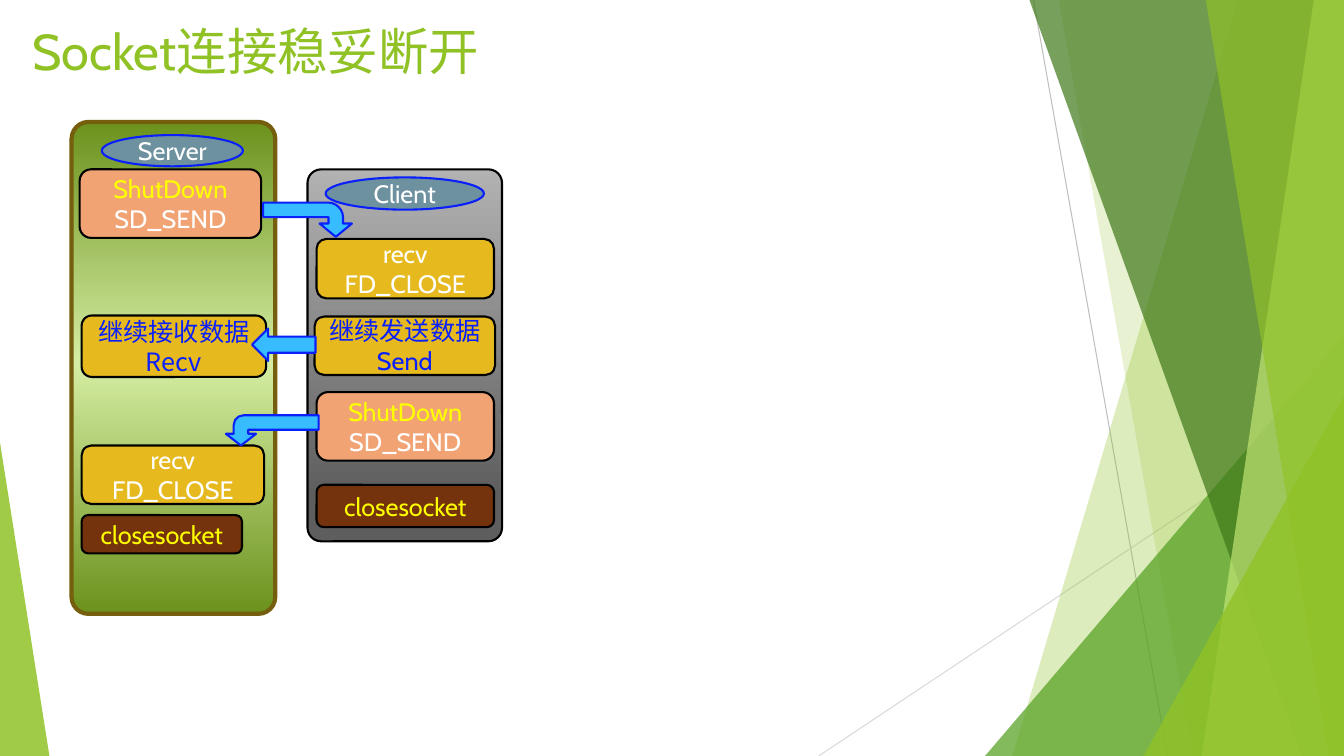
from dataclasses import dataclass

from lxml.etree import SubElement
from pptx import Presentation
from pptx.dml.color import RGBColor
from pptx.enum.shapes import MSO_CONNECTOR, MSO_SHAPE as Form
from pptx.enum.text import MSO_ANCHOR as Anchor, MSO_AUTO_SIZE as AutoSize, PP_ALIGN as Align
from pptx.oxml.ns import qn
from pptx.util import Inches, Pt


@dataclass(frozen=True)
class Theme:
    latin: str = "Cabin"
    asian: str = "Noto Sans CJK SC"
    title_size: int = 36
    label_size: int = 18
    outline: float = 1.5
    frame: float = 3
    hairline: float = 0.75
    lime: str = "90C226"
    leaf: str = "54A021"
    forest: str = "3F7819"
    pale: str = "C0E474"
    white: str = "FFFFFF"
    black: str = "000000"
    yellow: str = "FFFF00"
    blue: str = "0920FB"
    sky: str = "37BCFF"
    steel: str = "6E91A0"
    gold: str = "E6B91E"
    salmon: str = "F1A374"
    brown: str = "74330C"
    bronze: str = "755E0D"


THEME = Theme()
CELL = Inches(0.1)
COLS, ROWS = 133.3, 75

TITLE = ("Socket连接稳妥断开", (2.2, 1.5, 48.4, 7.7))

RAYS = [
    ((102.5, 0), (115.8, ROWS), "BFBFBF"),
    ((COLS, 40.3), (81.2, ROWS), "D9D9D9"),
]
FACETS = [
    ("band", (122.8, 100.4), THEME.lime, 30),
    ("band", (105, 118.3), THEME.lime, 20),
    ("triangle", (97.7, 33.3, 35.6, 41.7, 1), THEME.leaf, 72),
    ("band", (102.1, 129.1), THEME.forest, 70),
    ("band", (130.3, 119.2), THEME.pale, 70),
    ("band", (119.6, 131.8), THEME.lime, 65),
    ("triangle", (113.4, 39.3, 19.9, 35.7, 1), THEME.lime, 80),
    ("triangle", (0, 43.9, 4.9, 31.1, 0), THEME.lime, 85),
]

LANES = [
    ((7.1, 12.1, 20.2, 48.8), 0.083, [(0, "6C921D"), (49, "D5EDA2"), (100, "6C921D")],
     THEME.bronze, THEME.frame),
    ((30.5, 16.8, 19.3, 36.9), 0.07, [(0, "B2B2B2"), (88, "5E5E5E")],
     THEME.black, THEME.outline),
]

STYLES = {
    "name": (Form.OVAL, THEME.steel, THEME.blue, [THEME.white]),
    "shutdown": (Form.ROUNDED_RECTANGLE, THEME.salmon, THEME.black, [THEME.yellow, THEME.white]),
    "receive": (Form.ROUNDED_RECTANGLE, THEME.gold, THEME.black, [THEME.white] * 2),
    "data": (Form.ROUNDED_RECTANGLE, THEME.gold, THEME.black, [THEME.blue] * 2),
    "close": (Form.ROUNDED_RECTANGLE, THEME.brown, THEME.black, [THEME.yellow]),
}
SHUTDOWN = ["ShutDown", "SD_SEND"]
RECEIVE = ["recv", "FD_CLOSE"]
CLOSE = ["closesocket"]
STEPS = [
    ("name", ["Server"], (10.1, 13.4, 14, 3.1), THEME.latin),
    ("close", CLOSE, (8.1, 51.1, 15.9, 3.8), THEME.latin),
    ("receive", RECEIVE, (31.4, 23.7, 17.6, 5.9), THEME.latin),
    ("data", ["继续发送数据", "Send"], (31.2, 31.4, 17.9, 5.8), THEME.latin),
    ("name", ["Client"], (32.3, 17.6, 15.7, 3.2), THEME.latin),
    ("shutdown", SHUTDOWN, (7.9, 16.8, 18, 6.8), THEME.latin),
    ("shutdown", SHUTDOWN, (31.4, 38.9, 17.6, 6.8), THEME.latin),
    ("receive", RECEIVE, (8.1, 44.2, 18.1, 5.8), THEME.latin),
    ("data", ["继续接收数据", "Recv"], (8.1, 31.3, 18.3, 6.1), THEME.asian),
    ("close", CLOSE, (31.4, 48.1, 17.6, 4.2), THEME.latin),
]
ARROWS = [
    (Form.BENT_ARROW, (28.8, 17.4, 3.4, 8.8), 90, False, [0.425, 0.471, 0.387, 0.438]),
    (Form.BENT_ARROW, (25.5, 38.1, 3, 9.2), 90, True, [0.48, 0.499, 0.387, 0.326]),
    (Form.LEFT_ARROW, (25, 32.6, 6.3, 3.2), 0, False, []),
]


def grid(*cells):
    return [round(cell * CELL) for cell in cells]


def paint(shape, color, alpha=100):
    shape.shadow.inherit = False
    shape.fill.solid()
    shape.fill.fore_color.rgb = RGBColor.from_string(color)
    if alpha < 100:
        tint = shape.element.spPr.find(".//" + qn("a:srgbClr"))
        SubElement(tint, qn("a:alpha"), val=str(alpha * 1000))


def paint_gradient(shape, stops):
    shape.shadow.inherit = False
    shape.fill.gradient()
    shape.fill.gradient_angle = 270
    stop_list = shape.element.spPr.find(".//" + qn("a:gsLst"))
    for old_stop in list(stop_list):
        stop_list.remove(old_stop)
    for position, color in stops:
        stop = SubElement(stop_list, qn("a:gs"), pos=str(position * 1000))
        SubElement(stop, qn("a:srgbClr"), val=color)


def outline(shape, color, width=THEME.outline):
    shape.line.color.rgb = RGBColor.from_string(color)
    shape.line.width = Pt(width)


def add_span(para, text, size, color, latin=THEME.latin):
    span = para.add_run()
    span.text = text
    span.font.size = Pt(size)
    span.font.color.rgb = RGBColor.from_string(color)
    span.font.name = latin
    SubElement(span.font.element if hasattr(span.font, "element") else span._r.rPr,
               qn("a:ea"), typeface=THEME.asian)


def add_backdrop(page, master):
    tree = master.shapes.element
    for start, end, color in RAYS:
        ray = page.shapes.add_connector(MSO_CONNECTOR.STRAIGHT, *grid(*start, *end))
        outline(ray, color, THEME.hairline)
        SubElement(ray.element.spPr, qn("a:effectLst"))
        tree.append(ray.element)
    for kind, outline_cells, color, alpha in FACETS:
        if kind == "band":
            top, bottom = outline_cells
            builder = page.shapes.build_freeform(*grid(top, 0))
            corners = [(COLS, 0), (COLS, ROWS), (bottom, ROWS)]
            builder.add_line_segments([grid(*corner) for corner in corners], close=True)
            facet = builder.convert_to_shape()
        else:
            *area, apex = outline_cells
            facet = page.shapes.add_shape(Form.ISOSCELES_TRIANGLE, *grid(*area))
            facet.adjustments[0] = apex
        paint(facet, color, alpha)
        facet.line.fill.background()
        tree.append(facet.element)


def add_title(page):
    text, area = TITLE
    box = page.shapes.title
    box.left, box.top, box.width, box.height = grid(*area)
    frame = box.text_frame
    frame.auto_size = AutoSize.NONE
    frame.vertical_anchor = Anchor.TOP
    para = frame.paragraphs[0]
    para.alignment = Align.LEFT
    add_span(para, text, THEME.title_size, THEME.lime)


def add_step(page, style, lines, area, latin):
    form, fill, edge, colors = STYLES[style]
    box = page.shapes.add_shape(form, *grid(*area))
    paint(box, fill)
    outline(box, edge)
    frame = box.text_frame
    frame.word_wrap = True
    frame.vertical_anchor = Anchor.MIDDLE
    frame.margin_left = frame.margin_right = 0
    for index, (text, color) in enumerate(zip(lines, colors)):
        para = frame.add_paragraph() if index else frame.paragraphs[0]
        para.alignment = Align.CENTER
        add_span(para, text, THEME.label_size, color, latin)


def add_arrow(page, form, area, turn, flipped, bends):
    arrow = page.shapes.add_shape(form, *grid(*area))
    arrow.rotation = turn
    if flipped:
        arrow.element.spPr.find(qn("a:xfrm")).set("flipV", "1")
    for index, bend in enumerate(bends):
        arrow.adjustments[index] = bend
    paint(arrow, THEME.sky)
    outline(arrow, THEME.blue)


def main():
    deck = Presentation()
    deck.slide_width, deck.slide_height = grid(COLS, ROWS)
    page = deck.slides.add_slide(deck.slide_layouts.get_by_name("Title Only"))
    add_backdrop(page, deck.slide_master)
    add_title(page)
    for area, corner, stops, edge, width in LANES:
        lane = page.shapes.add_shape(Form.ROUNDED_RECTANGLE, *grid(*area))
        lane.adjustments[0] = corner
        paint_gradient(lane, stops)
        outline(lane, edge, width)
    for step in STEPS:
        add_step(page, *step)
    for arrow in ARROWS:
        add_arrow(page, *arrow)
    deck.save("out.pptx")


if __name__ == "__main__":
    main()
